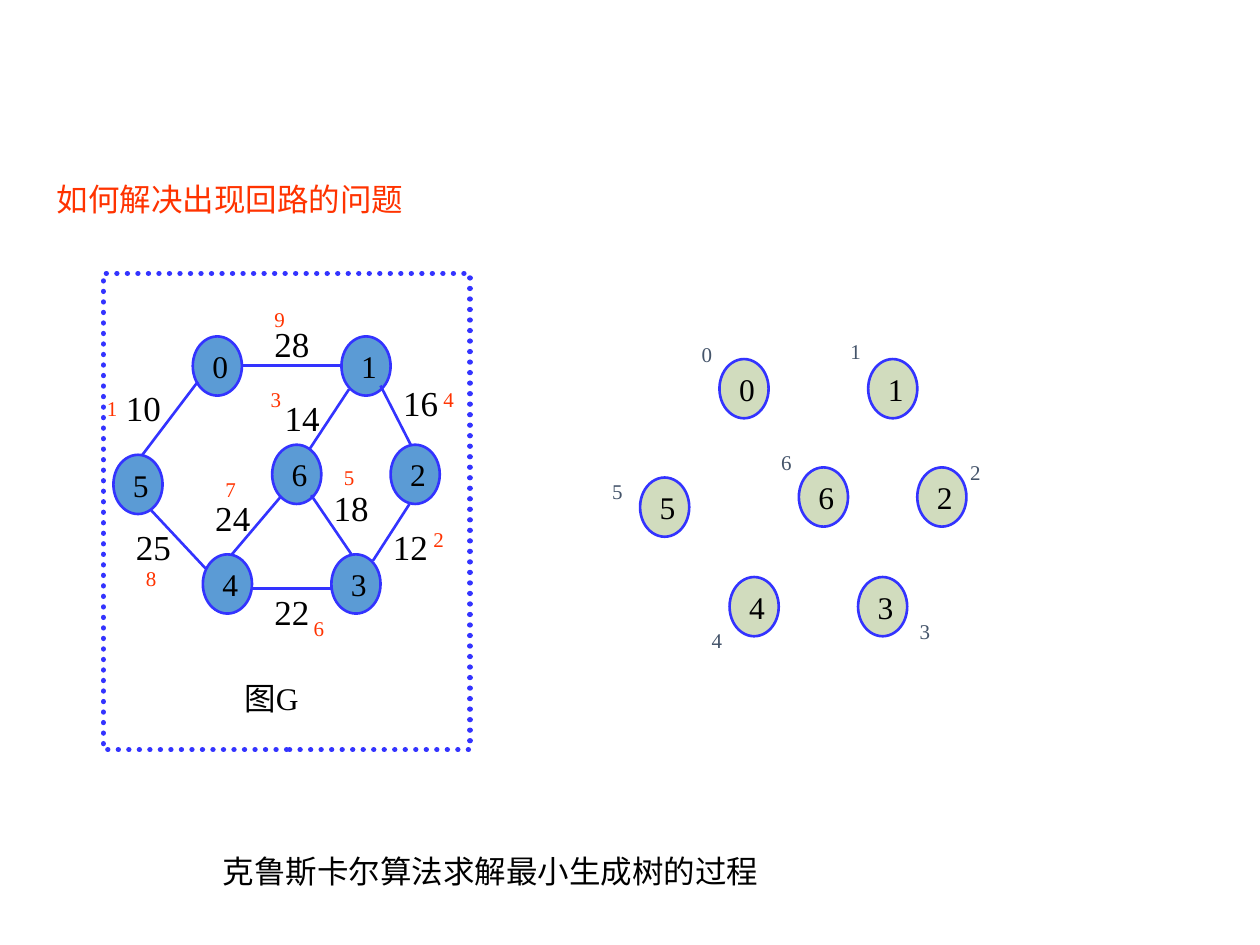
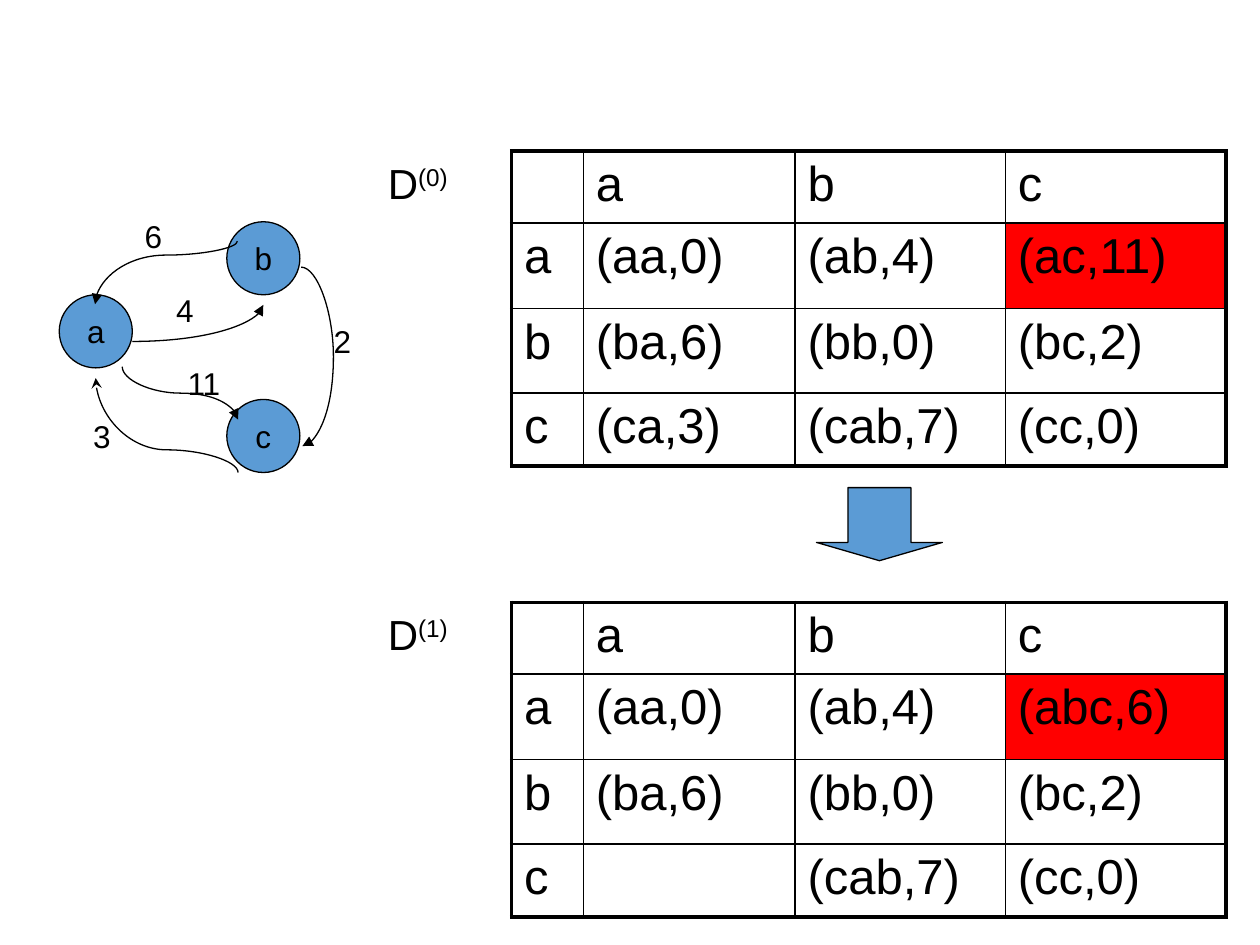
"""Build two slides on graph algorithms: spanning tree and shortest paths."""
from dataclasses import dataclass

from lxml import etree
from pptx import Presentation
from pptx import util as u
from pptx.dml import color as col
from pptx.enum import dml, shapes, text
from pptx.oxml import ns

HEX = {
    "black": "000000", "blue": "3333FF", "node": "5B9BD5", "sage": "D1DCBE",
    "alert": "FF3300", "slate": "44546A", "red": "FF0000",
}
SERIF, SANS = "Times New Roman", "Arial"
Point = tuple[float, float]
Box = tuple[float, float, float, float]


@dataclass(frozen=True)
class Style:
    face: str
    size: float
    hue: str = "black"


@dataclass(frozen=True)
class Edge:
    start: Point
    end: Point
    cost: str
    spot: Point
    rank: str
    mark: Point


@dataclass(frozen=True)
class Curve:
    box: Box
    turn: int
    flip: str
    bend: float | None
    cost: str
    spot: Point
    head: str = ""
    tail: str = "triangle"


@dataclass(frozen=True)
class Grid:
    top: float
    step: str
    rows: tuple[str, ...]


BODY = Style(SERIF, 18)
COST = Style(SERIF, 20)
RANK = Style(SERIF, 12, "alert")
ROOT = Style(SERIF, 12, "slate")
PLAIN = Style(SANS, 18)
NAME = Style(SANS, 24)
CELL = Style(SANS, 28)

NODES = {
    "0": (1.53, 2.67), "1": (2.71, 2.67), "5": (0.9, 3.61), "4": (1.61, 4.4),
    "3": (2.63, 4.4), "6": (2.16, 3.53), "2": (3.1, 3.53),
}
SHIFT = (4.18, 0.18)
ROOTS = {
    "0": (5.47, 2.66), "1": (6.65, 2.64), "5": (4.76, 3.75), "6": (6.1, 3.52),
    "2": (7.6, 3.6), "4": (5.55, 4.93), "3": (7.2, 4.86),
}
EDGES = (
    Edge((1.92, 2.9), (2.71, 2.9), "28", (2.08, 2.51), "9", (2.08, 2.38)),
    Edge((1.57, 3.03), (1.13, 3.61), "10", (0.9, 3.02), "1", (0.75, 3.09)),
    Edge((1.2, 4.05), (1.63, 4.51), "25", (0.98, 4.12), "8", (1.06, 4.44)),
    Edge((2, 4.67), (2.64, 4.67), "22", (2.08, 4.64), "6", (2.39, 4.84)),
    Edge((1.84, 4.4), (2.23, 3.94), "24", (1.61, 3.89), "7", (1.69, 3.73)),
    Edge((2.47, 3.93), (2.79, 4.4), "18", (2.55, 3.81), "5", (2.63, 3.64)),
    Edge((2.77, 3.09), (2.46, 3.56), "14", (2.16, 3.1), "3", (2.05, 3.02)),
    Edge((3.02, 3.06), (3.26, 3.53), "16", (3.1, 2.98), "4", (3.42, 3.02)),
    Edge((3.25, 4), (2.96, 4.45), "12", (3.02, 4.12), "2", (3.34, 4.13)),
)
TOWNS = {"a": (0.47, 2.34), "b": (1.8, 1.76), "c": (1.8, 3.17)}
CURVES = (
    Curve((1.05, 2.42, 1.04, 0.29), 0, "V", None, "4", (1.3, 2.26)),
    Curve((1.07, 1.6, 0.5, 1.13), 270, "HV", 0.22, "6", (1.05, 1.67)),
    Curve((1.22, 2.66, 0.42, 0.92), 90, "V", 0.5, "11", (1.39, 2.84)),
    Curve((0.95, 2.81, 0.75, 1.13), 90, "V", 0.76, "3", (0.64, 3.26),
          "stealth", ""),
    Curve((2.39, 2.12, 0.01, 1.42), 0, "", 26, "2", (2.55, 2.51)),
)
WIDTHS = (0.57, 1.68, 1.67, 1.75)
HEIGHTS = (0.57, 0.68, 0.67, 0.58)
SHARED = "b (ba,6) (bb,0) (bc,2)"
GRIDS = (
    Grid(4.78, "(1)", ("a (aa,0) (ab,4) (abc,6)", SHARED, "c - (cab,7) (cc,0)")),
    Grid(1.2, "(0)", ("a (aa,0) (ab,4) (ac,11)", SHARED, "c (ca,3) (cab,7) (cc,0)")),
)
HOT = (1, 3)


def rgb(hue: str) -> col.RGBColor:
    """Look up a colour by name."""
    return col.RGBColor.from_string(HEX[hue])


def inch(*sides: float) -> list[u.Length]:
    """Turn numbers into lengths."""
    return [u.Inches(side) for side in sides]


def write(frame, words: str, style: Style, power: str = "") -> None:
    """Write one paragraph, with an optional raised run."""
    para = frame.paragraphs[0]
    para.alignment = text.PP_ALIGN.LEFT
    for part in filter(None, (words, power)):
        run = para.add_run()
        run.text = part
        run.font.name, run.font.size = style.face, u.Pt(style.size)
        run.font.color.rgb = rgb(style.hue)
        if part == power:
            run.font._element.set("baseline", "30000")


def label(slide, box: Box, words: str, style: Style, power: str = "") -> None:
    """Add a text box that wraps and grows."""
    frame = slide.shapes.add_textbox(*inch(*box)).text_frame
    frame.word_wrap = True
    frame.auto_size = text.MSO_AUTO_SIZE.SHAPE_TO_FIT_TEXT
    write(frame, words, style, power)


def title(slide, box: Box, words: str, style: Style) -> None:
    """Place and format the title."""
    head = slide.shapes.title
    head.left, head.top, head.width, head.height = inch(*box)
    frame = head.text_frame
    frame.word_wrap = True
    frame.auto_size = text.MSO_AUTO_SIZE.NONE
    frame.vertical_anchor = text.MSO_ANCHOR.TOP
    write(frame, words, style)


def form(slide, kind, box: Box, fill: str | None, hue: str, width: float):
    """Add a flat preset shape."""
    item = slide.shapes.add_shape(kind, *inch(*box))
    item.shadow.inherit = False
    if fill:
        item.fill.solid()
        item.fill.fore_color.rgb = rgb(fill)
    else:
        item.fill.background()
    item.line.color.rgb, item.line.width = rgb(hue), u.Pt(width)
    return item


def node(slide, box: Box, name: str, fill: str, hue: str, width: float,
         style: Style) -> None:
    """Add a round graph node with its name."""
    ball = form(slide, shapes.MSO_SHAPE.OVAL, box, fill, hue, width)
    frame = ball.text_frame
    frame.word_wrap = False
    frame.vertical_anchor = text.MSO_ANCHOR.MIDDLE
    write(frame, name, style)
    if style.face == SANS:
        frame.paragraphs[0].alignment = text.PP_ALIGN.CENTER


def link(slide, kind, start: Point, end: Point, hue: str, width: float):
    """Add a connector without shadow."""
    line = slide.shapes.add_connector(kind, *inch(*start, *end))
    line.line.color.rgb, line.line.width = rgb(hue), u.Pt(width)
    etree.SubElement(line._element.spPr, ns.qn("a:effectLst"))
    return line


def arc(slide, curve: Curve) -> None:
    """Add a curved arrow with its cost."""
    left, top, wide, high = curve.box
    line = link(slide, shapes.MSO_CONNECTOR.CURVE, (left, top),
                (left + wide, top + high), "black", 0.75)
    props = line._element.spPr
    frame = props.find(ns.qn("a:xfrm"))
    frame.set("rot", str(curve.turn * 60000))
    for axis in curve.flip:
        frame.set(f"flip{axis}", "1")
    shape = props.find(ns.qn("a:prstGeom"))
    if curve.bend is None:
        shape.set("prst", "curvedConnector2")
    else:
        guide = etree.SubElement(shape.find(ns.qn("a:avLst")), ns.qn("a:gd"))
        guide.set("name", "adj1")
        guide.set("fmla", f"val {round(curve.bend * 100000)}")
    for end, kind in (("headEnd", curve.head), ("tailEnd", curve.tail)):
        if kind:
            tip = etree.SubElement(props.find(ns.qn("a:ln")), ns.qn(f"a:{end}"))
            tip.set("type", kind)
    label(slide, (*curve.spot, 0.5, 0.4), curve.cost, PLAIN)


def frame_cell(cell, row: int, pos: int) -> None:
    """Draw thick outer and thin inner borders on a cell."""
    outer = {"L": pos == 0, "R": pos == len(WIDTHS) - 1,
             "T": row == 0, "B": row == len(HEIGHTS) - 1}
    for side, thick in outer.items():
        line = etree.SubElement(cell._tc.get_or_add_tcPr(), ns.qn(f"a:ln{side}"))
        line.set("w", str(u.Pt(2.25 if thick else 1)))
        fill = etree.SubElement(line, ns.qn("a:solidFill"))
        etree.SubElement(fill, ns.qn("a:srgbClr")).set("val", HEX["black"])


def matrix(slide, grid: Grid) -> None:
    """Add a distance table with its name."""
    box = inch(4.06, grid.top, sum(WIDTHS), sum(HEIGHTS))
    table = slide.shapes.add_table(len(HEIGHTS), len(WIDTHS), *box).table
    table.first_row = table.horz_banding = False
    for part, wide in zip(table.columns, WIDTHS):
        part.width = u.Inches(wide)
    for part, high in zip(table.rows, HEIGHTS):
        part.height = u.Inches(high)
    for row, words in enumerate(("- a b c", *grid.rows)):
        for pos, word in enumerate(words.split()):
            cell = table.cell(row, pos)
            frame_cell(cell, row, pos)
            if (row, pos) == HOT:
                cell.fill.solid()
                cell.fill.fore_color.rgb = rgb("red")
            else:
                cell.fill.background()
            if word != "-":
                write(cell.text_frame, word, CELL)
    label(slide, (2.98, grid.top, 1, 0.5), "D", NAME, grid.step)


def draw_tree(slide) -> None:
    """Draw the spanning tree slide."""
    title(slide, (0.35, 1.38, 4.09, 0.4), "如何解决出现回路的问题",
          Style(SERIF, 18, "alert"))
    label(slide, (1.67, 6.71, 7.17, 0.4), "克鲁斯卡尔算法求解最小生成树的过程", BODY)
    for (right, down), fill in (((0, 0), "node"), (SHIFT, "sage")):
        for name, (left, top) in NODES.items():
            node(slide, (left + right, top + down, 0.39, 0.47), name, fill,
                 "blue", 1.5, BODY)
    for edge in EDGES:
        link(slide, shapes.MSO_CONNECTOR.STRAIGHT, edge.start, edge.end, "blue", 1.5)
        label(slide, (*edge.spot, 0.55, 0.44), edge.cost, COST)
        label(slide, (*edge.mark, 0.31, 0.3), edge.rank, RANK)
    for name, spot in ROOTS.items():
        label(slide, (*spot, 0.31, 0.3), name, ROOT)
    label(slide, (1.84, 5.34, 1.02, 0.4), "图G", BODY)
    fence = form(slide, shapes.MSO_SHAPE.RECTANGLE, (0.82, 2.17, 2.91, 3.78),
                 None, "blue", 3)
    fence.line.dash_style = dml.MSO_LINE.ROUND_DOT
    fence._element.spPr.find(ns.qn("a:ln")).set("cap", "rnd")


def draw_paths(slide) -> None:
    """Draw the shortest paths slide."""
    for name, spot in TOWNS.items():
        node(slide, (*spot, 0.58, 0.58), name, "node", "black", 0.75, PLAIN)
    for curve in CURVES:
        arc(slide, curve)
    for grid in GRIDS:
        matrix(slide, grid)
    arrow = form(slide, shapes.MSO_SHAPE.DOWN_ARROW, (6.48, 3.87, 1, 0.58),
                 "node", "black", 0.75)
    arrow.adjustments[0], arrow.adjustments[1] = 0.5, 0.25


def main() -> None:
    """Build and save the deck."""
    deck = Presentation()
    deck.slide_width, deck.slide_height = inch(10, 7.5)
    bare, named = deck.slide_layouts[6], deck.slide_layouts[5]
    draw_tree(deck.slides.add_slide(named))
    draw_paths(deck.slides.add_slide(bare))
    deck.save("out.pptx")


if __name__ == "__main__":
    main()
